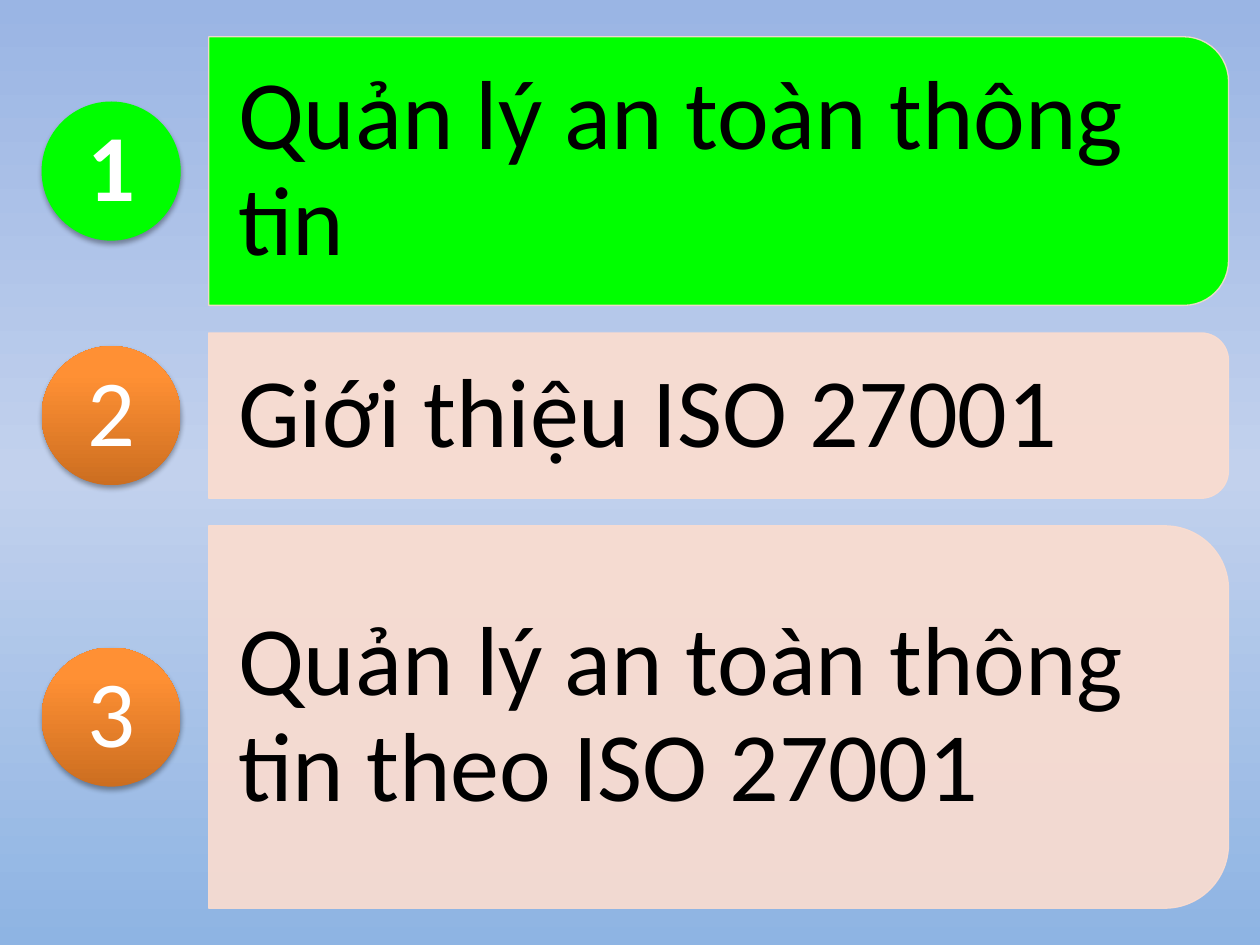
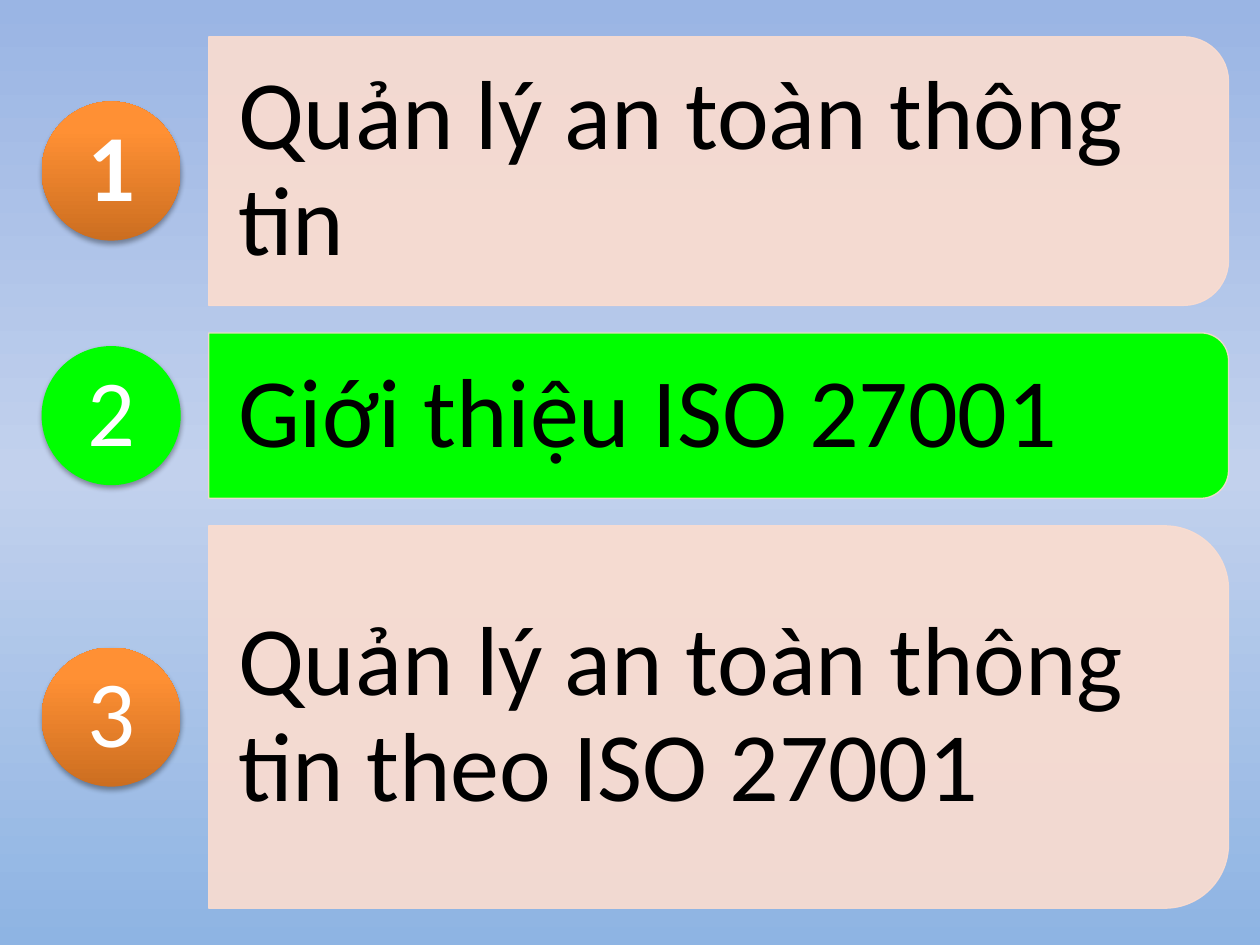
from lxml.etree import SubElement
from pptx import Presentation
from pptx.dml.color import RGBColor
from pptx.enum.shapes import MSO_SHAPE
from pptx.enum.text import MSO_ANCHOR, PP_ALIGN
from pptx.oxml.ns import qn
from pptx.util import Pt

COLORS = {
    "highlight": "00FF00",
    "panel": "FCDDCF",
    "text": "000000",
    "number": "FFFFFF",
    "shadow": "000000",
}
BACKGROUND_STOPS = [(0, "9AB5E4"), (50, "C2D1ED"), (100, "8EB4E3")]
CIRCLE_STOPS = [(0, "CC6E20"), (80, "FF9034"), (100, "FF9136")]

# Agenda entries with the height of their panel in points
AGENDA = [
    ("Quản lý an toàn thông tin", 153.5),
    ("Giới thiệu ISO 27001", 94.5),
    ("Quản lý an toàn thông tin theo ISO 27001", 218.5),
]
AGENDA_TOP = 21
PANEL_GAP = 15.75
PANEL_LEFT = 119.25
PANEL_WIDTH = 582.75
CORNER_RATIO = 0.1667
CORNER_INSET = 0.29  # share of the corner radius kept free of text
CIRCLE_LEFT = 23.75
CIRCLE_SIZE = 79.5


class AgendaDeck:
    font_name = "Calibri"

    def __init__(self):
        self.presentation = Presentation()
        self.presentation.slide_width = Pt(720)
        self.presentation.slide_height = Pt(540)
        self.slide = None

    def color(self, name):
        return RGBColor.from_string(COLORS[name])

    def set_gradient(self, fill, element, stops, angle):
        """Fill with any number of stops; the angle runs counter-clockwise."""
        fill.gradient()
        fill.gradient_angle = angle
        stop_list = element.find(".//" + qn("a:gsLst"))
        for stop in list(stop_list):
            stop_list.remove(stop)
        for position, value in stops:
            stop = SubElement(stop_list, qn("a:gs"), pos=str(position * 1000))
            SubElement(stop, qn("a:srgbClr"), val=value)

    def set_alpha(self, parent, percent):
        for color in parent.iter(qn("a:srgbClr")):
            SubElement(color, qn("a:alpha"), val=str(percent * 1000))

    def add_slide(self):
        self.slide = self.presentation.slides.add_slide(self.presentation.slide_layouts[6])
        self.set_gradient(self.slide.background.fill, self.slide.element, BACKGROUND_STOPS, 270)

    def add_panel(self, top, height, highlighted):
        """Panel rounded on its right side: an upright shape turned by 90 degrees."""
        left = PANEL_LEFT + (PANEL_WIDTH - height) / 2
        shape = self.slide.shapes.add_shape(
            MSO_SHAPE.ROUND_2_SAME_RECTANGLE,
            Pt(left), Pt(top + (height - PANEL_WIDTH) / 2), Pt(height), Pt(PANEL_WIDTH))
        shape.rotation = 90
        shape.adjustments[0] = CORNER_RATIO
        shape.shadow.inherit = False
        shape.line.color.rgb = self.color("panel")
        shape.line.width = Pt(0.75)
        properties = shape.element.spPr
        self.set_alpha(properties.find(qn("a:ln")), 90)
        shape.fill.solid()
        shape.fill.fore_color.rgb = self.color("highlight" if highlighted else "panel")
        if not highlighted:
            self.set_alpha(properties.find(qn("a:solidFill")), 90)

    def add_panel_text(self, text, top, height):
        inset = height * CORNER_RATIO * CORNER_INSET
        box = self.slide.shapes.add_textbox(
            Pt(PANEL_LEFT), Pt(top + inset), Pt(PANEL_WIDTH - inset), Pt(height - 2 * inset))
        self.set_text(box, text, 56, "text", PP_ALIGN.LEFT, (16.8, 11.2))

    def add_circle(self, number, center, highlighted):
        shape = self.slide.shapes.add_shape(
            MSO_SHAPE.OVAL, Pt(CIRCLE_LEFT), Pt(center - CIRCLE_SIZE / 2),
            Pt(CIRCLE_SIZE), Pt(CIRCLE_SIZE))
        shape.line.fill.background()
        if highlighted:
            shape.fill.solid()
            shape.fill.fore_color.rgb = self.color("highlight")
        else:
            self.set_gradient(shape.fill, shape.element, CIRCLE_STOPS, 90)
        self.add_shadow(shape)
        self.set_text(shape, str(number), 54, "number", PP_ALIGN.CENTER, (0, 0), number == 1)

    def add_shadow(self, shape):
        shape.shadow.inherit = False
        effects = shape.element.spPr.find(qn("a:effectLst"))
        shadow = SubElement(effects, qn("a:outerShdw"), blurRad=str(Pt(3.15)),
                            dist=str(Pt(1.8)), dir="5400000", rotWithShape="0")
        SubElement(shadow, qn("a:srgbClr"), val=COLORS["shadow"])
        self.set_alpha(shadow, 35)

    def set_text(self, shape, text, size, color, alignment, margins, bold=False):
        frame = shape.text_frame
        frame.word_wrap = True
        frame.vertical_anchor = MSO_ANCHOR.MIDDLE
        frame.margin_left = frame.margin_right = Pt(margins[0])
        frame.margin_top = frame.margin_bottom = Pt(margins[1])
        paragraph = frame.paragraphs[0]
        paragraph.text = text
        paragraph.alignment = alignment
        paragraph.line_spacing = 0.9
        paragraph.font.name = self.font_name
        paragraph.font.size = Pt(size)
        paragraph.font.bold = bold
        paragraph.font.color.rgb = self.color(color)

    def add_agenda(self, current):
        """Add a slide with all entries, the current one highlighted."""
        self.add_slide()
        top = AGENDA_TOP
        for number, (text, height) in enumerate(AGENDA, start=1):
            self.add_panel(top, height, number == current)
            self.add_panel_text(text, top, height)
            self.add_circle(number, top + height / 2, number == current)
            top += height + PANEL_GAP


def main():
    deck = AgendaDeck()
    for current in (1, 2):
        deck.add_agenda(current)
    deck.presentation.save("out.pptx")


if __name__ == "__main__":
    main()
